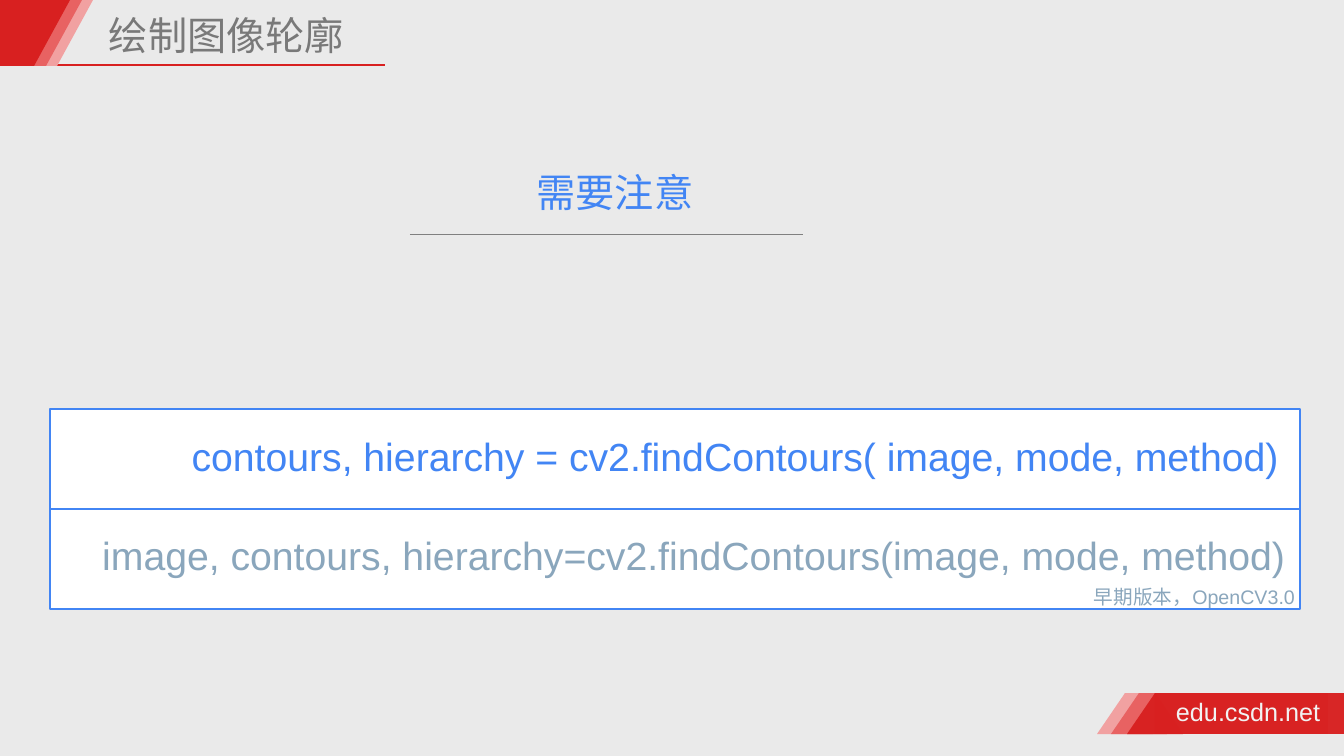
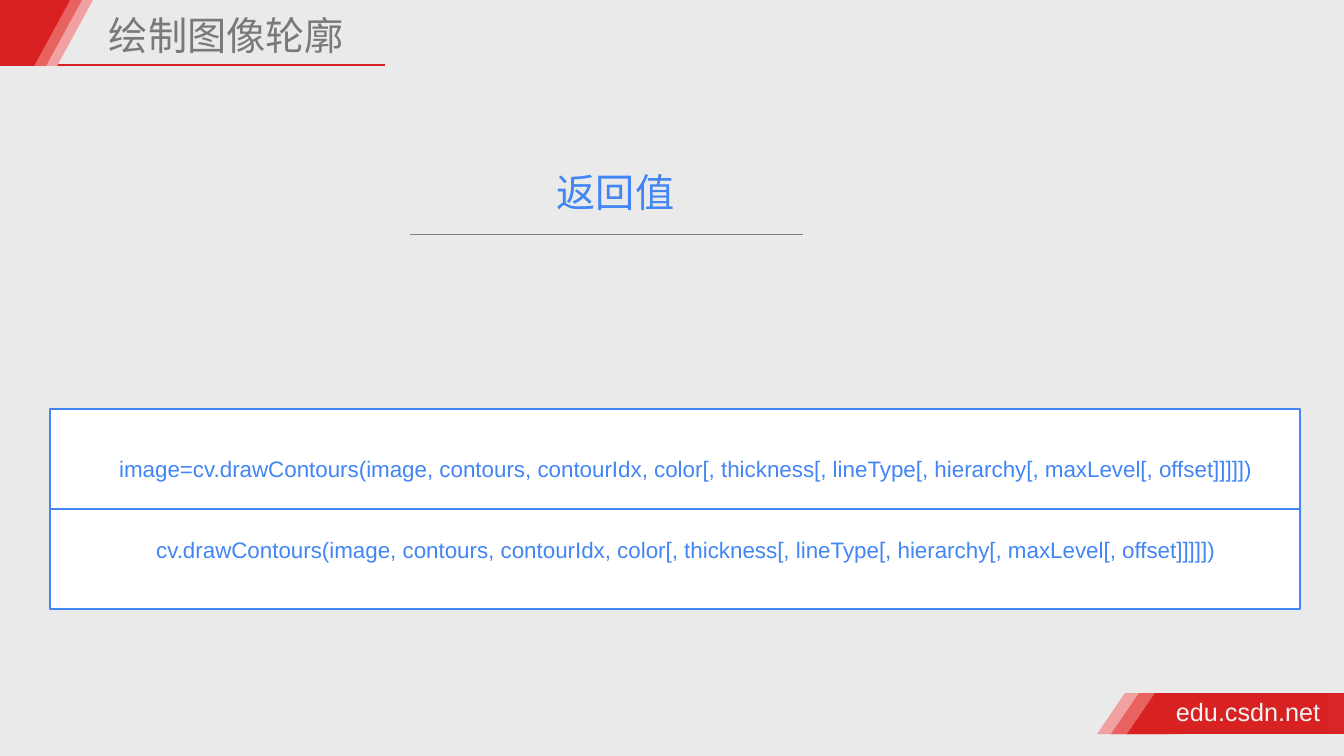
from lxml.etree import SubElement
from pptx import Presentation
from pptx.dml.color import RGBColor as Rgb
from pptx.enum.shapes import MSO_CONNECTOR as Connector, MSO_SHAPE as Shape
from pptx.enum.text import MSO_AUTO_SIZE as AutoSize, PP_ALIGN as Align
from pptx.oxml.ns import qn
from pptx.util import Emu, Pt

EMU_PER_PX = 914400 / 100.8
SLIDE_W, SLIDE_H = 1344, 756
COLORS = {
    "background": "EAEAEA", "red": "D82020", "coral": "E86262", "pink": "F1A1A1",
    "white": "FFFFFF", "blue": "4285F4", "muted": "8AA6BC", "title": "797979",
    "rule": "808080", "site": "F2F2F2",
}
LATIN, CJK = "Arial", "Noto Sans CJK SC"


def px(length):
    return Emu(round(length * EMU_PER_PX))


def rgb(name):
    return Rgb.from_string(COLORS[name])


def add_block(slide, preset, box, fill, border=None, alpha=None):
    block = slide.shapes.add_shape(preset, *map(px, box))
    block.shadow.inherit = False
    block.fill.solid()
    block.fill.fore_color.rgb = rgb(fill)
    if alpha:
        color = block.fill._xPr.find(f"{qn('a:solidFill')}/{qn('a:srgbClr')}")
        SubElement(color, qn("a:alpha"), val=str(alpha * 1000))
    if border:
        block.line.color.rgb = rgb(border)
        block.line.width = Pt(1)
    else:
        block.line.fill.background()
    return block


def add_rule(slide, left, right, y, color, width):
    rule = slide.shapes.add_connector(
        Connector.STRAIGHT, px(left), px(y), px(right), px(y))
    rule.line.color.rgb = rgb(color)
    rule.line.width = Pt(width)
    SubElement(rule._element.spPr, qn("a:effectLst"))


def add_label(slide, box, text, size, color, font=LATIN, align=Align.CENTER,
              wrap=True, inset=10, spacing=None):
    label = slide.shapes.add_textbox(*map(px, box))
    frame = label.text_frame
    frame.word_wrap = wrap
    frame.auto_size = AutoSize.SHAPE_TO_FIT_TEXT
    frame.margin_left = frame.margin_right = px(inset)
    frame.margin_top = frame.margin_bottom = px(5)
    paragraph = frame.paragraphs[0]
    paragraph.alignment = align
    if spacing:
        paragraph.line_spacing = spacing
    run = paragraph.add_run()
    run.text = text
    run.font.size = Pt(size)
    run.font.color.rgb = rgb(color)
    run.font.name = font
    SubElement(run.font._element, qn("a:ea"), typeface=CJK)


def slanted_band(slide, box, edge, slant, color, alpha=None):
    """A rectangle whose side at x = edge is slanted by a triangle."""
    left, top, width, height = box
    add_block(slide, Shape.RECTANGLE, box, color, alpha=alpha)
    tip = add_block(slide, Shape.ISOSCELES_TRIANGLE,
                    (edge - slant, top, 2 * slant, height), color, alpha=alpha)
    if edge > left:
        tip.rotation = 180


def footer(slide, box):
    left, top, width, height = box
    for offset, color, alpha in ((28, "pink", None), (42, "coral", None), (58, "red", 97)):
        edge = left + offset
        slanted_band(slide, (edge, top, 189, height), edge, 28, color, alpha)
    add_label(slide, (left + 74, top - 2, 156, height), "edu.csdn.net", 18, "site",
              align=Align.LEFT, wrap=False, inset=5)


def header(slide, box, title):
    left, top, width, height = box
    add_rule(slide, left + 49, left + width, top + height - 1, "red", 1)
    for edge, color in ((57, "pink"), (46, "coral"), (34, "red")):
        slanted_band(slide, (left + edge - 35, top, 35, height), left + edge, 36, color)
    add_label(slide, (left + 104, top + 12, 439, 53), title, 28, "title",
              font=CJK, align=Align.LEFT, inset=5, spacing=0.9)


def topic(slide, box, text):
    left, top, width, height = box
    add_rule(slide, left, left + width, top + height, "rule", 0.75)
    text_w = 39 * len(text) + 22
    center = left + width // 2 + 9
    add_label(slide, (center - text_w // 2, top, text_w, 57), text, 28, "blue",
              font=CJK, wrap=False)


def code_panel(slide, box, lines):
    """Two stacked rows; each line is (row, box within row, text, size, color)."""
    left, top, width, height = box
    row_h = height // 2
    for row in (1, 0):
        add_block(slide, Shape.RECTANGLE, (left, top + row * row_h, width, row_h),
                  "white", "blue")
    for row, (dx, dy, line_w, line_h), text, size, color in lines:
        add_label(slide, (left + dx, top + row * row_h + dy, line_w, line_h),
                  text, size, color)


def add_code_slide(deck, heading, lines):
    slide = deck.slides.add_slide(deck.slide_layouts[6])
    slide.background.fill.solid()
    slide.background.fill.fore_color.rgb = rgb("background")
    footer(slide, (1097, 693, 247, 41))
    header(slide, (0, 0, 385, 66), "绘制图像轮廓")
    code_panel(slide, (50, 409, 1250, 200), lines)
    topic(slide, (410, 163, 393, 72), heading)


DRAW_CALL = ("cv.drawContours(image, contours, contourIdx, color[, thickness[, "
             "lineType[, hierarchy[, maxLevel[, offset]]]]])")
CODE_SLIDES = (
    ("需要注意", (
        (0, (90, 18, 1190, 57),
         "contours, hierarchy = cv2.findContours( image, mode, method)", 28, "blue"),
        (1, (35, 17, 1217, 57),
         "image, contours, hierarchy=cv2.findContours(image, mode, method)", 28, "muted"),
        (1, (1027, 71, 235, 34), "早期版本，OpenCV3.0", 14, "muted"),
    )),
    ("返回值", (
        (0, (41, 41, 1190, 37), "image=" + DRAW_CALL, 16, "blue"),
        (1, (41, 22, 1190, 37), DRAW_CALL, 16, "blue"),
    )),
)


def main():
    deck = Presentation()
    deck.slide_width, deck.slide_height = px(SLIDE_W), px(SLIDE_H)
    for heading, lines in CODE_SLIDES:
        add_code_slide(deck, heading, lines)
    deck.save("out.pptx")


if __name__ == "__main__":
    main()
